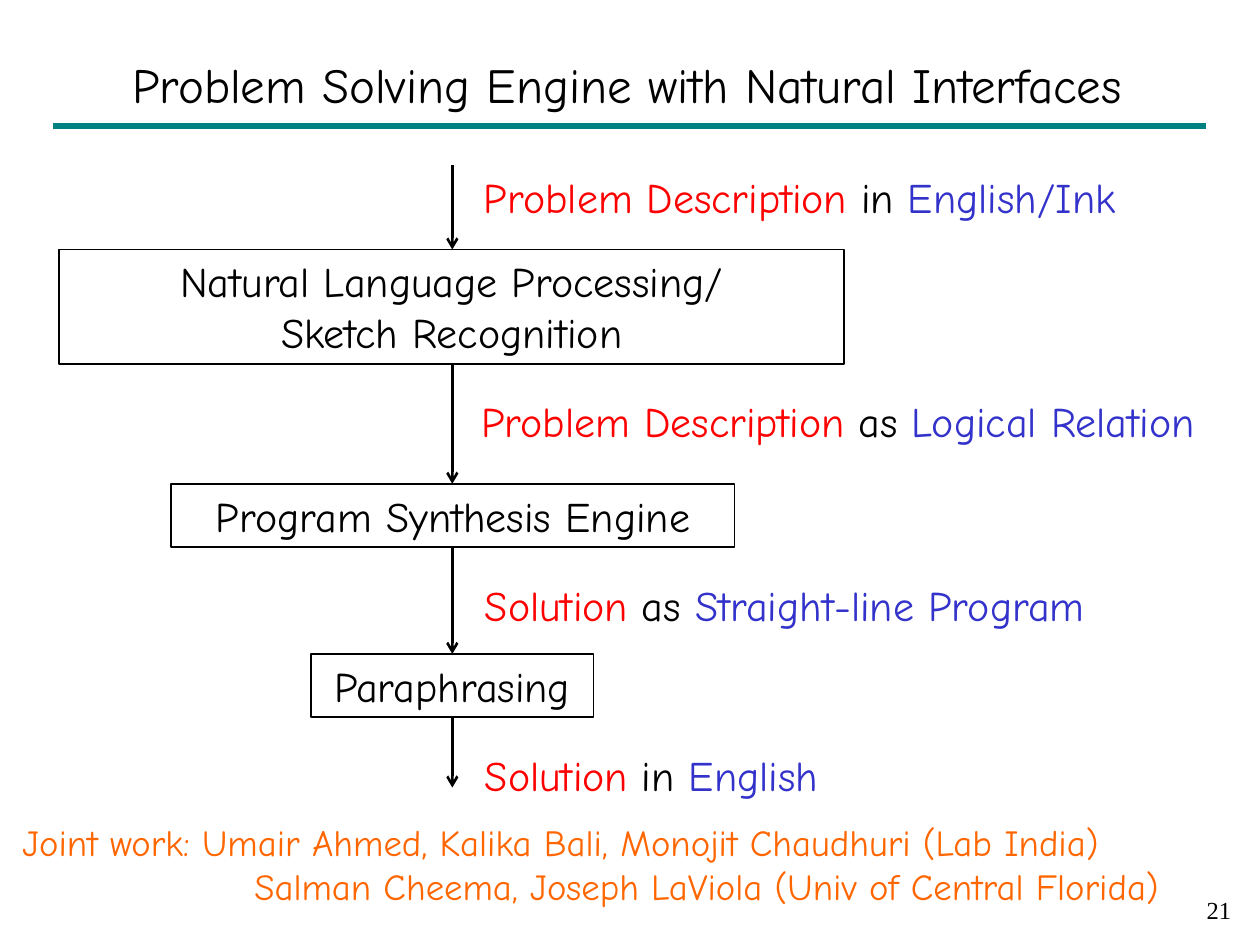
from lxml import etree
from pptx import Presentation, util as u
from pptx.dml.color import RGBColor
from pptx.enum import shapes, text
from pptx.oxml.ns import qn

COLS, ROWS = 100, 75
BLACK, RED, BLUE, ORANGE, TEAL = "000000", "FF0000", "3333CC", "FF6600", "008080"
CENTER, RIGHT = text.PP_ALIGN.CENTER, text.PP_ALIGN.RIGHT


def rgb(value):
    return RGBColor.from_string(value)


class Deck:
    font = "Comic Neue"

    def __init__(self):
        self.prs = Presentation()
        self.prs.slide_width, self.prs.slide_height = u.Inches(10), u.Inches(7.5)
        self.s = self.prs.slides.add_slide(self.prs.slide_layouts[6])

    def x(self, col):
        return round(self.prs.slide_width * col / COLS)

    def y(self, row):
        return round(self.prs.slide_height * row / ROWS)

    def area(self, col, row, cols, rows):
        return self.x(col), self.y(row), self.x(cols), self.y(rows)

    def fill_text(self, sp, lines, size=24, align=None, indents=(), **fmt):
        tf = sp.text_frame
        tf.word_wrap = True
        for i, line in enumerate(lines):
            p = tf.paragraphs[0] if i == 0 else tf.add_paragraph()
            p.alignment = align
            if i < len(indents):
                p._p.get_or_add_pPr().set("marL", str(self.x(indents[i])))
            for words, color in line:
                r = p.add_run()
                r.text = words
                values = {"name": self.font, "size": u.Pt(size), **fmt}
                for key, value in values.items():
                    setattr(r.font, key, value)
                r.font.color.rgb = rgb(color)

    def label(self, area, lines, anchor=text.MSO_ANCHOR.TOP, **style):
        sp = self.s.shapes.add_textbox(*self.area(*area))
        sp.text_frame.vertical_anchor = anchor
        self.fill_text(sp, lines, **style)

    def box(self, area, lines):
        sp = self.s.shapes.add_shape(shapes.MSO_SHAPE.RECTANGLE, *self.area(*area))
        sp.shadow.inherit = False
        sp.fill.background()
        sp.line.color.rgb = rgb(BLACK)
        sp.line.width = u.Pt(1)
        sp.text_frame.vertical_anchor = text.MSO_ANCHOR.TOP
        self.fill_text(sp, [[(line, BLACK)] for line in lines], align=CENTER)

    def line(self, start, end, color=BLACK, width=1.5, arrow=True):
        sp = self.s.shapes.add_connector(
            shapes.MSO_CONNECTOR.STRAIGHT,
            self.x(start[0]), self.y(start[1]), self.x(end[0]), self.y(end[1]))
        sp.line.color.rgb = rgb(color)
        sp.line.width = u.Pt(width)
        if arrow:
            etree.SubElement(sp.line._get_or_add_ln(), qn("a:tailEnd"), type="arrow")
        etree.SubElement(sp._element.spPr, qn("a:effectLst"))


deck = Deck()
deck.line((4.2, 10), (95.7, 10), TEAL, 4, arrow=False)
deck.label((77.9, 70.5, 20.8, 4.2), [[("21", BLACK)]],
           size=14, align=RIGHT, name="Times New Roman")
deck.label((-1.2, 3.3, 101.9, 6.7),
           [[("Problem Solving Engine with Natural Interfaces", BLACK)]],
           anchor=text.MSO_ANCHOR.MIDDLE, size=28, align=CENTER)

AXIS = 35.9
stages = [
    ((4.7, 19.8, 62.3, 9.1), ["Natural Language Processing/", "Sketch Recognition"]),
    ((13.6, 38.4, 44.7, 5), ["Program Synthesis Engine"]),
    ((24.7, 51.9, 22.4, 5), ["Paraphrasing"]),
]
for area, lines in stages:
    deck.box(area, lines)

starts = [13.1] + [area[1] + area[3] for area, _ in stages]
ends = [area[1] for area, _ in stages] + [62.5]
for start, end in zip(starts, ends):
    deck.line((AXIS, start), (AXIS, end))

flows = [
    (37.4, 13.1, "Problem Description", "in", "English/Ink"),
    (37.2, 30.9, "Problem Description", "as", "Logical Relation"),
    (37.5, 45.5, "Solution", "as", "Straight-line Program"),
    (37.5, 59, "Solution", "in", "English"),
]
for col, row, what, link, form in flows:
    deck.label((col, row, 63.5, 5),
               [[(what, RED), (f" {link} ", BLACK), (form, BLUE)]])

deck.label((0.8, 64.6, 98, 8.1), [
    [("Joint work: Umair Ahmed, Kalika Bali, Monojit Chaudhuri (Lab India)", ORANGE)],
    [("Salman Cheema, Joseph LaViola (Univ of Central Florida)", ORANGE)],
], size=21, indents=(0, 18.4))

deck.prs.save("out.pptx")
